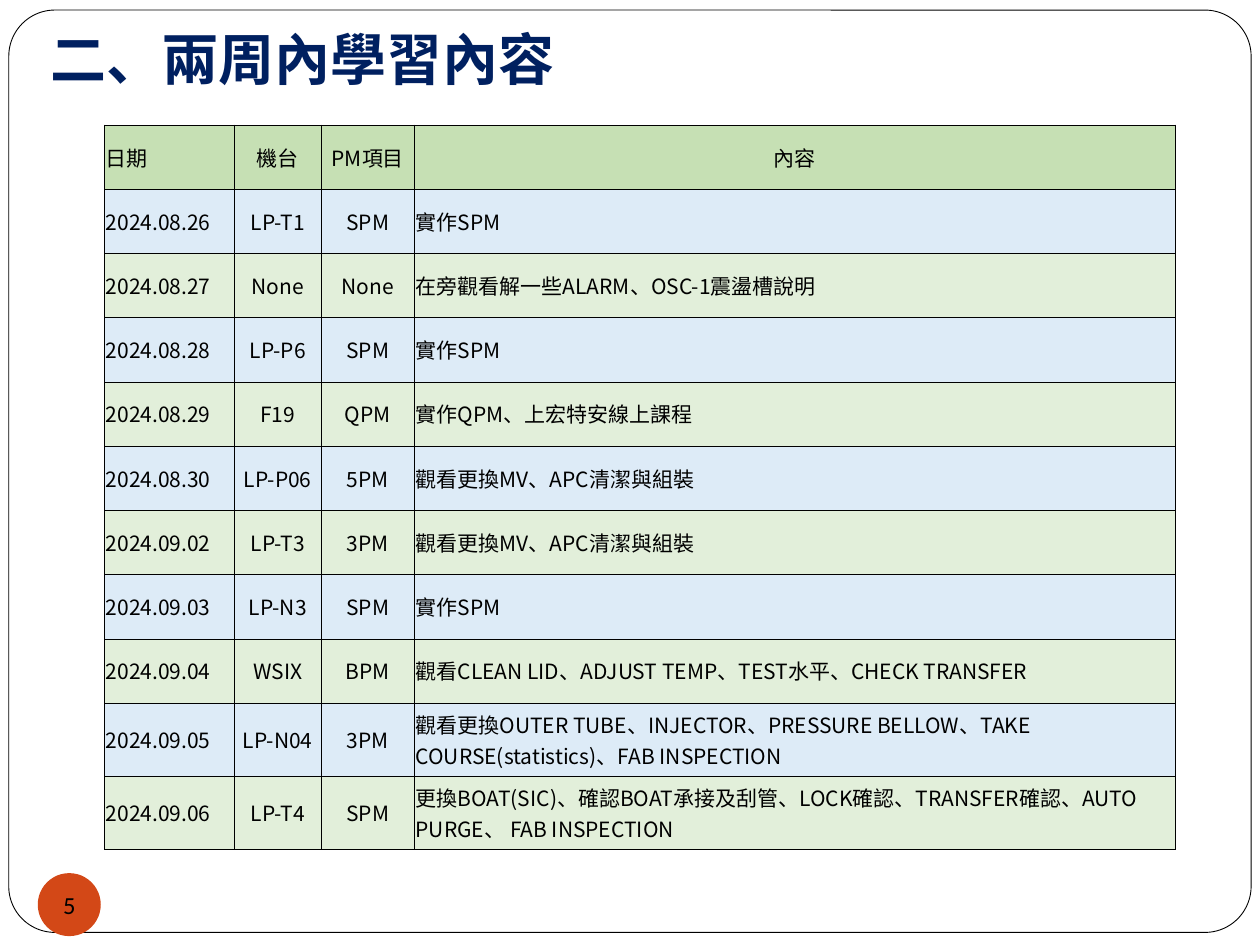
from pptx import Presentation
from pptx.dml.color import RGBColor
from pptx.enum.shapes import MSO_SHAPE
from pptx.enum.text import MSO_ANCHOR, PP_ALIGN
from pptx.util import Inches, Pt
from lxml.etree import SubElement
from pptx.oxml.ns import qn

TITLE = "二、兩周內學習內容"
PAGE = "5"
HEADER = ("日期", "機台", "PM項目", "內容")
RECORDS = [
    ("2024.08.26", "LP-T1", "SPM", "實作SPM"),
    ("2024.08.27", "None", "None", "在旁觀看解一些ALARM、OSC-1震盪槽說明"),
    ("2024.08.28", "LP-P6", "SPM", "實作SPM"),
    ("2024.08.29", "F19", "QPM", "實作QPM、上宏特安線上課程"),
    ("2024.08.30", "LP-P06", "5PM", "觀看更換MV、APC清潔與組裝"),
    ("2024.09.02", "LP-T3", "3PM", "觀看更換MV、APC清潔與組裝"),
    ("2024.09.03", "LP-N3", "SPM", "實作SPM"),
    ("2024.09.04", "WSIX", "BPM", "觀看CLEAN LID、ADJUST TEMP、TEST水平、CHECK TRANSFER"),
    ("2024.09.05", "LP-N04", "3PM",
     "觀看更換OUTER TUBE、INJECTOR、PRESSURE BELLOW、TAKE COURSE(statistics)、FAB INSPECTION"),
    ("2024.09.06", "LP-T4", "SPM",
     "更換BOAT(SIC)、確認BOAT承接及刮管、LOCK確認、TRANSFER確認、AUTO PURGE、 FAB INSPECTION"),
]
COL_WIDTHS = (1.03, 0.69, 0.74, 6.04)
ROW_HEIGHT = 0.51
TALL_ROW_HEIGHT = 0.58
TALL_ROWS = (9, 10)

THEME = {
    "cjk": "Noto Sans CJK SC", "latin": "Calibri",
    "title_size": 32, "cell_size": 12, "page_size": 14,
    "title": "002060", "text": "000000", "line": "000000", "paper": "FFFFFF",
    "header": "C6E0B4", "bands": ("DDEBF7", "E2EFDA"), "badge": "D34817",
    "frame_width": 0.5, "border_width": 0.23,
}


def rgb(name):
    return RGBColor.from_string(name)


def write(tf, text, size, color, font, align=PP_ALIGN.LEFT, bold=False):
    p = tf.paragraphs[0]
    p.alignment = align
    r = p.add_run()
    r.text = text
    r.font.size = Pt(size)
    r.font.bold = bold
    r.font.color.rgb = rgb(color)
    r.font.name = font
    SubElement(r.font._element, qn("a:ea"), typeface=font)


def set_margins(box, left, top, right, bottom):
    box.margin_left, box.margin_top = Inches(left), Inches(top)
    box.margin_right, box.margin_bottom = Inches(right), Inches(bottom)


def add_filled(s, kind, fill, *at):
    sp = s.shapes.add_shape(kind, *map(Inches, at))
    sp.shadow.inherit = False
    sp.fill.solid()
    sp.fill.fore_color.rgb = rgb(fill)
    return sp


def add_borders(cell):
    tc_pr = cell._tc.get_or_add_tcPr()
    for side in ("lnL", "lnR", "lnT", "lnB"):
        ln = SubElement(tc_pr, qn(f"a:{side}"), w=str(Pt(THEME["border_width"])))
        SubElement(SubElement(ln, qn("a:solidFill")), qn("a:srgbClr"), val=THEME["line"])


def add_schedule(s):
    rows = [HEADER] + RECORDS
    heights = [TALL_ROW_HEIGHT if i in TALL_ROWS else ROW_HEIGHT for i in range(len(rows))]
    table = s.shapes.add_table(
        len(rows), len(HEADER), Inches(0.83), Inches(0.99),
        Inches(sum(COL_WIDTHS)), Inches(sum(heights))).table
    for col, width in zip(table.columns, COL_WIDTHS):
        col.width = Inches(width)
    for i, (row, height) in enumerate(zip(rows, heights)):
        table.rows[i].height = Inches(height)
        fill = THEME["bands"][(i - 1) % 2] if i else THEME["header"]
        for j, text in enumerate(row):
            cell = table.cell(i, j)
            add_borders(cell)
            cell.fill.solid()
            cell.fill.fore_color.rgb = rgb(fill)
            cell.vertical_anchor = MSO_ANCHOR.MIDDLE
            set_margins(cell, 0.01, 0.05, 0.01, 0.05)
            centred = j in (1, 2) or (i == 0 and j == 3)
            write(cell.text_frame, text, THEME["cell_size"], THEME["text"], THEME["cjk"],
                  PP_ALIGN.CENTER if centred else PP_ALIGN.LEFT)


def main():
    prs = Presentation()
    prs.slide_width, prs.slide_height = Inches(10), Inches(7.5)
    s = prs.slides.add_slide(prs.slide_layouts[6])

    frame = add_filled(s, MSO_SHAPE.ROUNDED_RECTANGLE, THEME["paper"], 0.07, 0.08, 9.86, 7.32)
    frame.adjustments[0] = 0.05
    frame.line.color.rgb = rgb(THEME["line"])
    frame.line.width = Pt(THEME["frame_width"])

    tf = s.shapes.add_textbox(Inches(0.3), Inches(0.03), Inches(8.5), Inches(0.8)).text_frame
    tf.word_wrap = True
    tf.vertical_anchor = MSO_ANCHOR.BOTTOM
    set_margins(tf, 0.1, 0.05, 0.1, 0.1)
    write(tf, TITLE, THEME["title_size"], THEME["title"], THEME["cjk"], bold=True)

    add_schedule(s)

    badge = add_filled(s, MSO_SHAPE.OVAL, THEME["badge"], 0.3, 6.93, 0.5, 0.5)
    badge.line.fill.background()
    tf = badge.text_frame
    tf.word_wrap = False
    tf.vertical_anchor = MSO_ANCHOR.MIDDLE
    set_margins(tf, 0, 0, 0, 0)
    write(tf, PAGE, THEME["page_size"], THEME["text"], THEME["latin"], PP_ALIGN.CENTER)

    prs.save("out.pptx")


if __name__ == "__main__":
    main()
